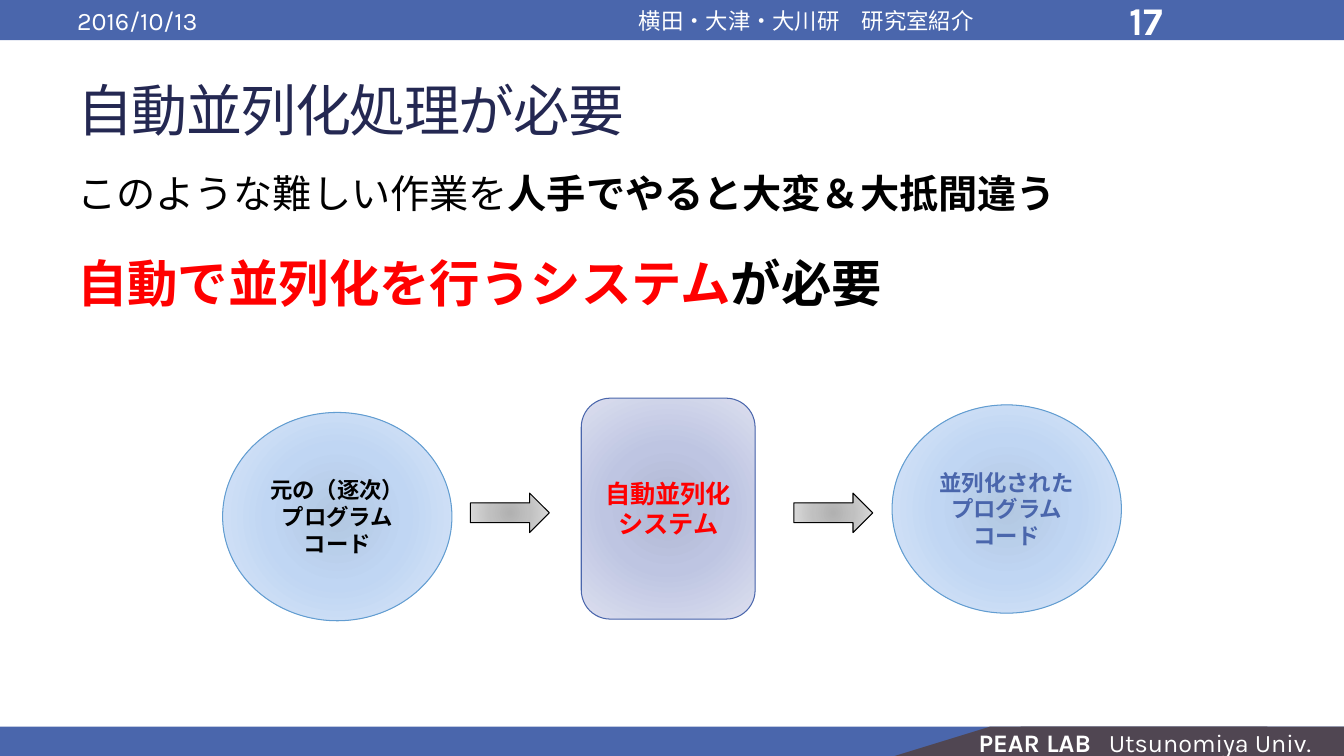
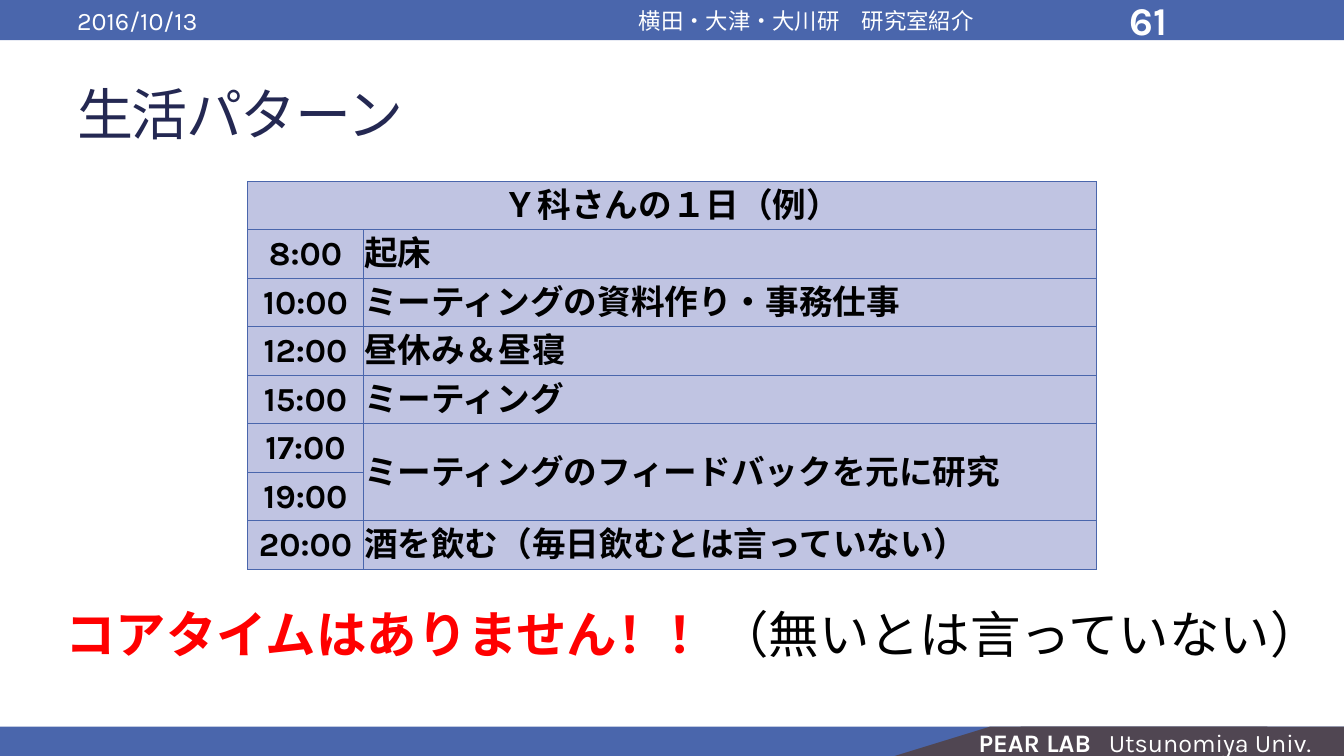
from pptx import Presentation, util as u
from pptx.dml.color import RGBColor
from pptx.enum import shapes, text
from pptx.oxml import parse_xml
from pptx.oxml.ns import nsdecls, qn

BLUE = RGBColor(0x4A, 0x66, 0xAC)
SKY = RGBColor(0x62, 0x9D, 0xD1)
SLATE = RGBColor(0x50, 0x46, 0x52)
NAVY = RGBColor(0x24, 0x28, 0x52)
LILAC = RGBColor(0xC0, 0xC4, 0xE2)
RED = RGBColor(0xFF, 0x00, 0x00)
BLACK = RGBColor(0x00, 0x00, 0x00)
WHITE = RGBColor(0xFF, 0xFF, 0xFF)

LILAC_GLOW = ("B0B7D2", "BEC5E2", "DCDFEF")
SKY_GLOW = ("B2C7E1", "C0D6F3", "DCE8F9")
GREY_GLOW = ("B1B1B1", "C0C0C0", "DDDDDD")

KARLA, NOTO = "Karla", "Noto Sans CJK JP"
LEFT, CENTER = text.PP_ALIGN.LEFT, text.PP_ALIGN.CENTER
TOP, MIDDLE = text.MSO_ANCHOR.TOP, text.MSO_ANCHOR.MIDDLE
PRESET = shapes.MSO_SHAPE
COLUMNS, ROWS = 160, 90
INSET = (0.1, 0.05, 0.1, 0.05)


class Deck:
    """Style and current slide; places are in columns and rows of the grid."""

    def __init__(self):
        self.prs = Presentation()
        self.prs.slide_width, self.prs.slide_height = u.Inches(13.33), u.Inches(7.5)
        self.slide = None

    def across(self, columns):
        return round(self.prs.slide_width * columns / COLUMNS)

    def down(self, rows):
        return round(self.prs.slide_height * rows / ROWS)

    def place(self, left, top, width, height):
        return self.across(left), self.down(top), self.across(width), self.down(height)

    def add_words(self, paragraph, words, size, color=BLACK, bold=False, face=KARLA,
                  spacing=0):
        run = paragraph.add_run()
        run.text = words
        font = run.font
        font.size, font.bold, font.name = u.Pt(size), bold, face
        font.color.rgb = color
        props = font._element
        if spacing:
            props.set("spc", str(spacing * 100))
        props.find(qn("a:latin")).addnext(
            parse_xml(f'<a:ea {nsdecls("a")} typeface="{face}"/>'))

    def fill_frame(self, frame, paragraphs, align=LEFT, anchor=MIDDLE, inset=INSET):
        """Fill a frame; each paragraph is a list of argument tuples for add_words()."""
        frame.word_wrap = True
        frame.vertical_anchor = anchor
        (frame.margin_left, frame.margin_top,
         frame.margin_right, frame.margin_bottom) = map(u.Inches, inset)
        for i, pieces in enumerate(paragraphs):
            paragraph = frame.add_paragraph() if i else frame.paragraphs[0]
            paragraph.alignment = align
            for piece in pieces:
                self.add_words(paragraph, *piece)
        return frame

    def label(self, place, *paragraphs, **layout):
        box = self.slide.shapes.add_textbox(*self.place(*place))
        return self.fill_frame(box.text_frame, paragraphs, **layout)

    def block(self, preset, place, fill):
        shape = self.slide.shapes.add_shape(preset, *self.place(*place))
        shape.shadow.inherit = False
        shape.fill.solid()
        shape.fill.fore_color.rgb = fill
        shape.line.fill.background()
        return shape

    def glowing(self, preset, place, glow, edge, lines=(), size=16, color=BLACK):
        """Outlined shape with a gradient running out from its centre."""
        shape = self.slide.shapes.add_shape(preset, *self.place(*place))
        shape.shadow.inherit = False
        stops = "".join(f'<a:gs pos="{pos}000"><a:srgbClr val="{tint}"/></a:gs>'
                        for pos, tint in zip((0, 45, 100), glow))
        shape._element.spPr.find(qn("a:prstGeom")).addnext(parse_xml(
            f'<a:gradFill {nsdecls("a")} rotWithShape="1"><a:gsLst>{stops}</a:gsLst>'
            '<a:path path="circle"><a:fillToRect l="50000" t="50000" r="50000" b="50000"/>'
            '</a:path></a:gradFill>'))
        shape.line.color.rgb = edge
        shape.line.width = u.Pt(0.75)
        self.fill_frame(shape.text_frame,
                        [[(line, size, color, True)] for line in lines], CENTER)

    def cell(self, cell, words, align):
        self.fill_frame(cell.text_frame, [[(words, 24, BLACK, True)]] if words else [], align)
        cell.vertical_anchor = MIDDLE
        cell.margin_left = cell.margin_right = cell.margin_top = u.Inches(0.01)
        cell.margin_bottom = 0
        cell.fill.solid()
        cell.fill.fore_color.rgb = LILAC
        for i, side in enumerate("LRTB"):
            cell._tc.tcPr.insert(i, parse_xml(
                f'<a:ln{side} {nsdecls("a")} w="9525"><a:solidFill>'
                f'<a:srgbClr val="{BLUE}"/></a:solidFill></a:ln{side}>'))

    def timetable(self, place, time_share, heading, entries):
        """Two-column table; an entry without an activity continues the one above."""
        frame = self.slide.shapes.add_table(len(entries) + 1, 2, *self.place(*place))
        table = frame.table
        table.first_row = table.horz_banding = False
        table.columns[0].width = round(frame.width * time_share)
        table.columns[1].width = self.across(place[2]) - table.columns[0].width
        for r, row in enumerate([(heading, "")] + entries):
            for c, words in enumerate(row):
                self.cell(table.cell(r, c), words, LEFT if c else CENTER)
        table.cell(0, 0).merge(table.cell(0, 1))
        for r, (_, activity) in enumerate(entries, 1):
            if not activity:
                table.cell(r - 1, 1).merge(table.cell(r, 1))

    def new_slide(self, number, title, title_face=KARLA):
        self.slide = self.prs.slides.add_slide(self.prs.slide_layouts[6])
        self.block(PRESET.RECTANGLE, (0, 0, COLUMNS, 4.8), BLUE)
        self.block(PRESET.RECTANGLE, (0, 86.5, COLUMNS, 3.5), BLUE)
        slant = self.block(PRESET.PARALLELOGRAM, (106.5, 86.5, 44.4, 3.5), SLATE)
        slant.adjustments[0] = 3.25
        self.block(PRESET.RECTANGLE, (121.5, 86.5, 38.5, 3.5), SLATE)
        bare = (0, 0, 0, 0)
        self.label((116.5, 86.5, 15, 3.7), [("PEAR LAB", 18, WHITE, True)], inset=bare)
        self.label((132, 86.5, 28, 3.7), [("Utsunomiya Univ.", 18, WHITE)], inset=bare)
        self.label((8, 0.25, 50.6, 4.3), [("2016/10/13", 18, WHITE)])
        self.label((60, 0.25, 72, 4.3),
                   [("横田・大津・大川研　研究室紹介", 16, WHITE)], align=CENTER)
        self.label((133.3, 0.25, 18.7, 4.3), [(str(number), 28, WHITE, True)])
        heading = self.label((8, 7, 144, 13), [(title, 40, NAVY, False, title_face, -1)])
        if title_face == NOTO:
            heading.paragraphs[0].line_spacing = 0.9


def parallelization(deck):
    deck.new_slide(17, "自動並列化処理が必要", NOTO)
    body = deck.label(
        (8, 21, 144, 64),
        [("このような難しい作業を", 28, BLACK, False, NOTO),
         ("人手でやると大変＆大抵間違う", 28, BLACK, True, NOTO)],
        [("自動で並列化を行うシステム", 36, RED, True, NOTO),
         ("が必要", 36, BLACK, True, NOTO)],
        anchor=TOP)
    for paragraph in body.paragraphs:
        paragraph.line_spacing = 0.72
    body.paragraphs[1].space_before = u.Pt(37.5)

    deck.glowing(PRESET.ROUNDED_RECTANGLE, (69.2, 47.4, 20.7, 26.3), LILAC_GLOW, BLUE,
                 ("自動並列化", "システム"), 18, RED)
    for left, top, kind, color in ((26.5, 49.1, "元の（逐次）", BLACK),
                                   (106.2, 48.2, "並列化された", BLUE)):
        deck.glowing(PRESET.OVAL, (left, top, 27.3, 24.8), SKY_GLOW, SKY,
                     (kind, "プログラム", "コード"), color=color)
    for left in (56, 94.5):
        deck.glowing(PRESET.RIGHT_ARROW, (left, 58.7, 9.4, 4.7), GREY_GLOW, BLACK)


def daily_pattern(deck):
    deck.new_slide(61, "生活パターン")
    deck.timetable((29.5, 21.6, 101, 46.2), 0.136, "Ｙ科さんの１日（例）", [
        ("8:00", "起床"),
        ("10:00", "ミーティングの資料作り・事務仕事"),
        ("12:00", "昼休み＆昼寝"),
        ("15:00", "ミーティング"),
        ("17:00", "ミーティングのフィードバックを元に研究"),
        ("19:00", ""),
        ("20:00", "酒を飲む（毎日飲むとは言っていない）"),
    ])
    deck.label((6.6, 71.2, 155, 8.5),
               [("コアタイムはありません！！", 36, RED, True),
                ("（無いとは言っていない）", 36)], anchor=TOP)


def main():
    deck = Deck()
    parallelization(deck)
    daily_pattern(deck)
    deck.prs.save("out.pptx")


if __name__ == "__main__":
    main()
